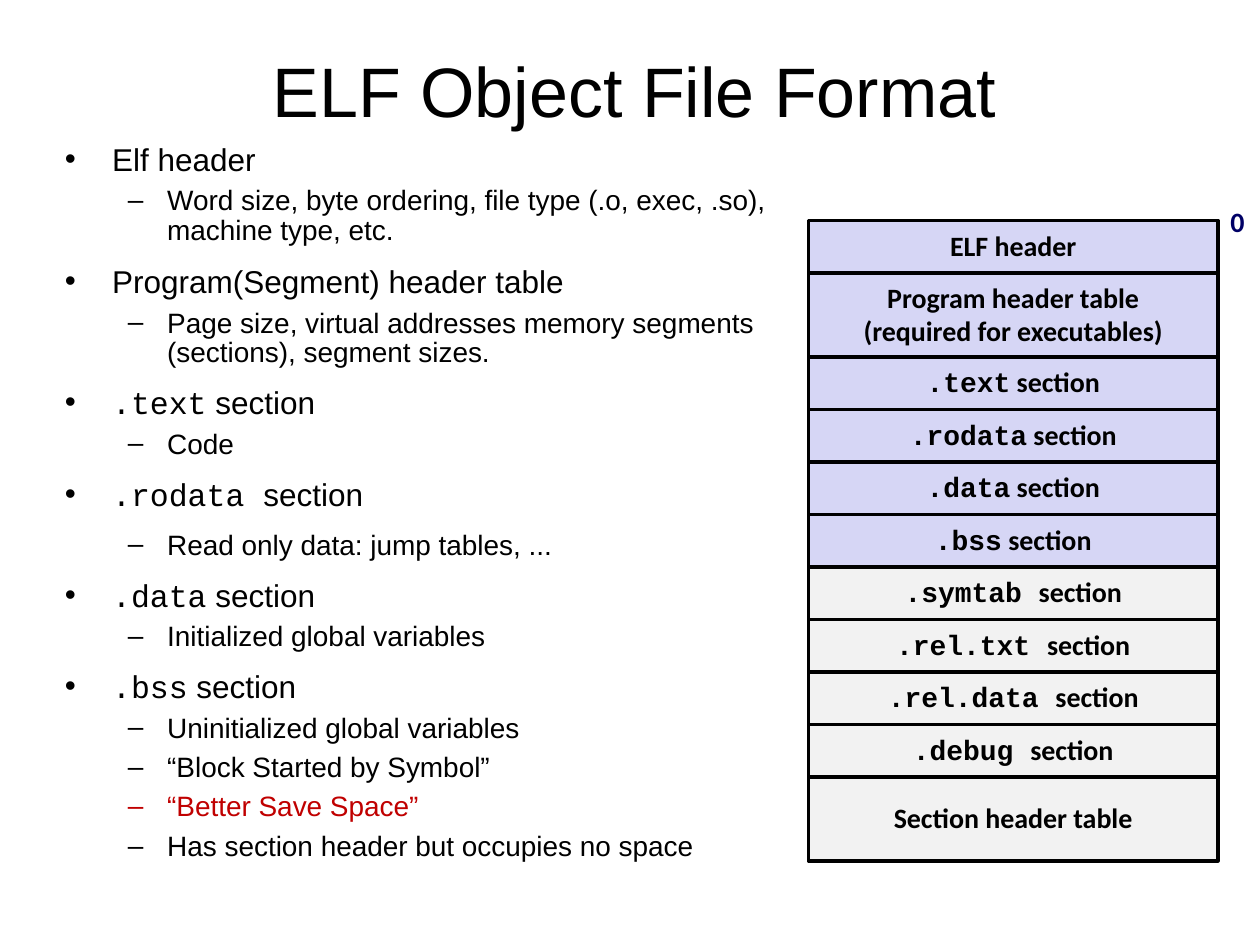
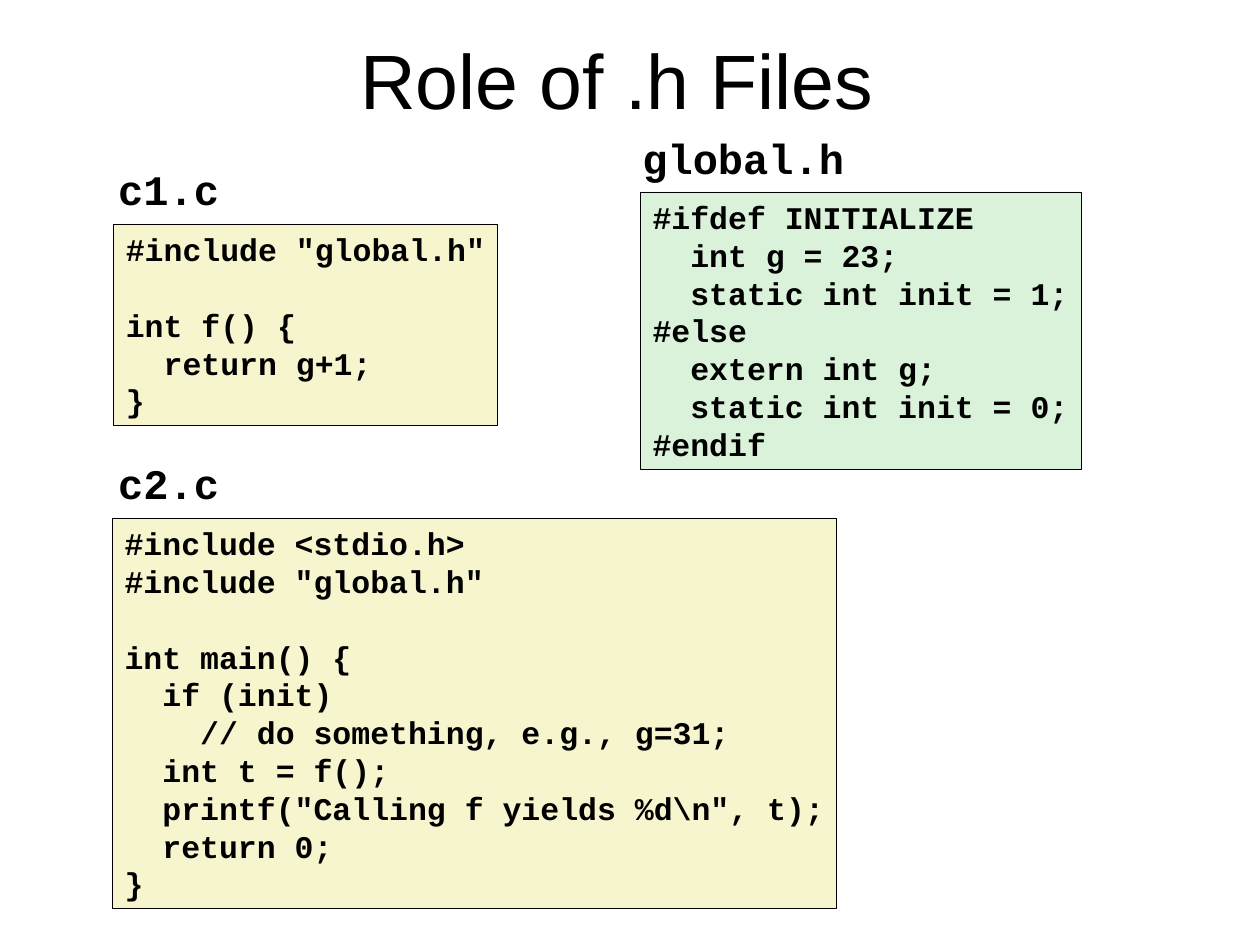
from dataclasses import dataclass

from lxml import etree
from pptx import Presentation
from pptx.dml import color
from pptx.enum import shapes, text
from pptx.oxml import ns
from pptx.util import Pt

COLORS = {
    "black": "000000",
    "white": "FFFFFF",
    "red": "C00000",
    "navy": "000066",
    "lavender": "D6D6F5",
    "gray": "F2F2F2",
    "cream": "F7F5CD",
    "mint": "DBF2DA",
}
SANS, LABEL, MONO = "Arial", "Calibri", "Courier New"
CODE_SIZE = 18
CODE_CHAR = CODE_SIZE * 0.6
CODE_LINE = CODE_SIZE * 1.2


@dataclass(frozen=True)
class Frame:
    left: float
    top: float
    width: float
    height: float


@dataclass(frozen=True)
class Span:
    words: str
    font: str
    size: float
    color: str = "black"
    bold: bool = False


@dataclass(frozen=True)
class Level:
    mark: str
    margin: float
    hanging: float
    size: float
    before: float
    spacing: float


@dataclass(frozen=True)
class Bullet:
    level: Level
    words: str
    mono: str = ""
    color: str = "black"


@dataclass(frozen=True)
class Section:
    words: str
    mono: str = ""
    fill: str = "lavender"
    height: float = 30


@dataclass(frozen=True)
class Listing:
    name: str
    label: Frame
    frame: Frame
    fill: str
    code: str


TOPIC = Level("•", 27, 27, 18, 12.5, 0.83)
MONO_TOPIC = Level("•", 27, 27, 18, 12.5, 0.8)
DETAIL = Level("–", 58.5, 22.5, 16, 5.6, 0.88)
LOOSE_DETAIL = Level("–", 58.5, 22.5, 16, 12.5, 0.8)

BULLETS = [
    Bullet(TOPIC, "Elf header"),
    Bullet(DETAIL, "Word size, byte ordering, file type (.o, exec, .so), machine type, etc."),
    Bullet(TOPIC, "Program(Segment) header table"),
    Bullet(DETAIL, "Page size, virtual addresses memory segments (sections), segment sizes."),
    Bullet(MONO_TOPIC, " section", ".text"),
    Bullet(DETAIL, "Code"),
    Bullet(MONO_TOPIC, "section", ".rodata "),
    Bullet(LOOSE_DETAIL, "Read only data: jump tables, ..."),
    Bullet(MONO_TOPIC, " section", ".data"),
    Bullet(DETAIL, "Initialized global variables"),
    Bullet(MONO_TOPIC, " section", ".bss"),
    Bullet(DETAIL, "Uninitialized global variables"),
    Bullet(DETAIL, "“Block Started by Symbol”"),
    Bullet(DETAIL, "“Better Save Space”", color="red"),
    Bullet(DETAIL, "Has section header but occupies no space"),
]

SECTIONS = [
    Section("ELF header"),
    Section("Program header table\n(required for executables)", height=48),
    *(Section(" section", name) for name in (".text", ".rodata", ".data", ".bss")),
    *(
        Section("section", name + " ", "gray")
        for name in (".symtab", ".rel.txt", ".rel.data", ".debug")
    ),
    Section("Section header table", fill="gray", height=48),
]

LISTINGS = [
    Listing("c1.c", Frame(60.5, 90, 72, 36), Frame(64.8, 128, 219.6, 115.2), "cream",
            """#include "global.h"

int f() {
  return g+1;
}"""),
    Listing("global.h", Frame(360, 72, 129.6, 36), Frame(365.8, 109.6, 252, 158.4), "mint",
            """#ifdef INITIALIZE
  int g = 23;
  static int init = 1;
#else
  extern int g;
  static int init = 0;
#endif"""),
    Listing("c2.c", Frame(60.5, 258, 72, 36), Frame(64.1, 296, 414, 223.2), "cream",
            r"""#include <stdio.h>
#include "global.h"

int main() {
  if (init)
    // do something, e.g., g=31;
  int t = f();
  printf("Calling f yields %d\n", t);
  return 0;
}"""),
]


def rgb(name: str) -> color.RGBColor:
    return color.RGBColor.from_string(COLORS[name])


def write_spans(para, spans: list[Span]) -> None:
    para.text = spans[0].words
    for span in spans[1:]:
        para.add_run().text = span.words
    for run, span in zip(para.runs, spans):
        run.font.name = span.font
        run.font.size = Pt(span.size)
        run.font.bold = span.bold
        run.font.color.rgb = rgb(span.color)


def next_para(frame, index: int):
    return frame.add_paragraph() if index else frame.paragraphs[0]


def set_margin(para, margin: float, hanging: float = 0):
    properties = para._p.get_or_add_pPr()
    properties.set("marL", str(int(Pt(margin))))
    properties.set("indent", str(-int(Pt(hanging))))
    return properties


def set_bullet(para, level: Level, ink: str) -> None:
    properties = set_margin(para, level.margin, level.hanging)
    tint = etree.SubElement(properties, ns.qn("a:buClr"))
    etree.SubElement(tint, ns.qn("a:srgbClr")).set("val", COLORS[ink])
    etree.SubElement(properties, ns.qn("a:buFont")).set("typeface", SANS)
    etree.SubElement(properties, ns.qn("a:buChar")).set("char", level.mark)


def add_text_box(page, frame: Frame, wrap: bool = True):
    box = page.shapes.add_textbox(
        Pt(frame.left), Pt(frame.top), Pt(frame.width), Pt(frame.height))
    box.text_frame.word_wrap = wrap
    return box.text_frame


def add_box(page, frame: Frame, fill: str | None, line: str, weight: float):
    box = page.shapes.add_shape(
        shapes.MSO_SHAPE.RECTANGLE,
        Pt(frame.left), Pt(frame.top), Pt(frame.width), Pt(frame.height))
    box.shadow.inherit = False
    if fill:
        box.fill.solid()
        box.fill.fore_color.rgb = rgb(fill)
    else:
        box.fill.background()
    box.line.color.rgb = rgb(line)
    box.line.width = Pt(weight)
    box.text_frame.word_wrap = False
    return box.text_frame


def add_page(deck, title: str, frame: Frame, size: float):
    page = deck.slides.add_slide(deck.slide_layouts[6])
    heading = add_text_box(page, frame)
    heading.vertical_anchor = text.MSO_ANCHOR.MIDDLE
    para = heading.paragraphs[0]
    para.alignment = text.PP_ALIGN.CENTER
    write_spans(para, [Span(title, SANS, size)])
    return page


def add_bullets(page, frame: Frame, bullets: list[Bullet]) -> None:
    body = add_text_box(page, frame)
    for index, bullet in enumerate(bullets):
        level = bullet.level
        para = next_para(body, index)
        para.line_spacing = level.spacing
        para.space_before = Pt(level.before)
        set_bullet(para, level, bullet.color)
        spans = [Span(bullet.words, SANS, level.size, bullet.color)]
        if bullet.mono:
            spans.insert(0, Span(bullet.mono, MONO, level.size, bullet.color))
        write_spans(para, spans)


def add_sections(page, left: float, top: float, width: float, sections: list[Section]) -> None:
    for section in sections:
        box = add_box(page, Frame(left, top, width, section.height), section.fill, "black", 2)
        box.vertical_anchor = text.MSO_ANCHOR.MIDDLE
        for index, words in enumerate(section.words.split("\n")):
            para = next_para(box, index)
            para.alignment = text.PP_ALIGN.CENTER
            para.line_spacing = 0.94 if section.mono else 0.98
            spans = [Span(words, LABEL, 16, bold=True)]
            if section.mono:
                spans.insert(0, Span(section.mono, MONO, 16, bold=True))
            write_spans(para, spans)
        top += section.height


def add_code(page, frame: Frame, fill: str | None, line: str, code: str, size: float) -> None:
    box = add_box(page, frame, fill, line, 0.25)
    box.auto_size = text.MSO_AUTO_SIZE.SHAPE_TO_FIT_TEXT
    box.vertical_anchor = text.MSO_ANCHOR.TOP
    index = gap = 0
    for row in code.split("\n"):
        words = row.lstrip()
        if not words:
            gap += CODE_LINE
            continue
        para = next_para(box, index)
        para.alignment = text.PP_ALIGN.LEFT
        set_margin(para, (len(row) - len(words)) * CODE_CHAR)
        para.space_before = Pt(gap)
        write_spans(para, [Span(words, MONO, size, bold=True)])
        index, gap = index + 1, 0


def build_format_page(deck) -> None:
    page = add_page(deck, "ELF Object File Format", Frame(19.5, 20, 686, 62), 40)
    add_bullets(page, Frame(30, 80, 420.5, 424), BULLETS)
    add_sections(page, 462, 126, 234, SECTIONS)
    offset = add_text_box(page, Frame(696, 114, 22.5, 26), wrap=False)
    offset.paragraphs[0].line_spacing = 0.98
    write_spans(offset.paragraphs[0], [Span("0", LABEL, 16, "navy", True)])


def build_header_page(deck) -> None:
    page = add_page(deck, "Role of .h Files", Frame(54, 15, 597.5, 60), 44)
    for listing in LISTINGS:
        add_code(page, listing.label, None, "white", listing.name, 24)
        add_code(page, listing.frame, listing.fill, "black", listing.code, CODE_SIZE)


def main() -> None:
    deck = Presentation()
    deck.slide_width, deck.slide_height = Pt(720), Pt(540)
    build_format_page(deck)
    build_header_page(deck)
    deck.save("out.pptx")


if __name__ == "__main__":
    main()
